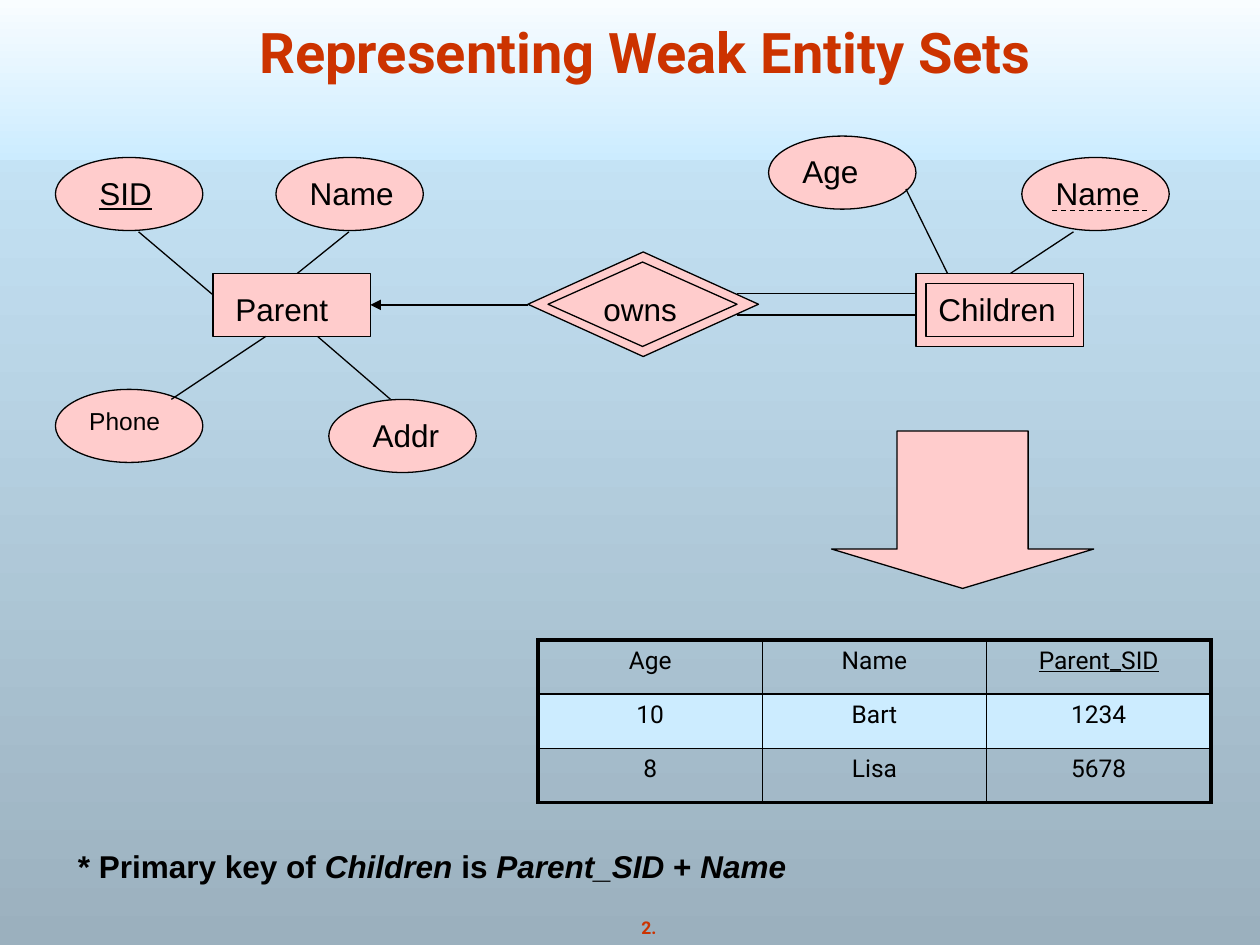
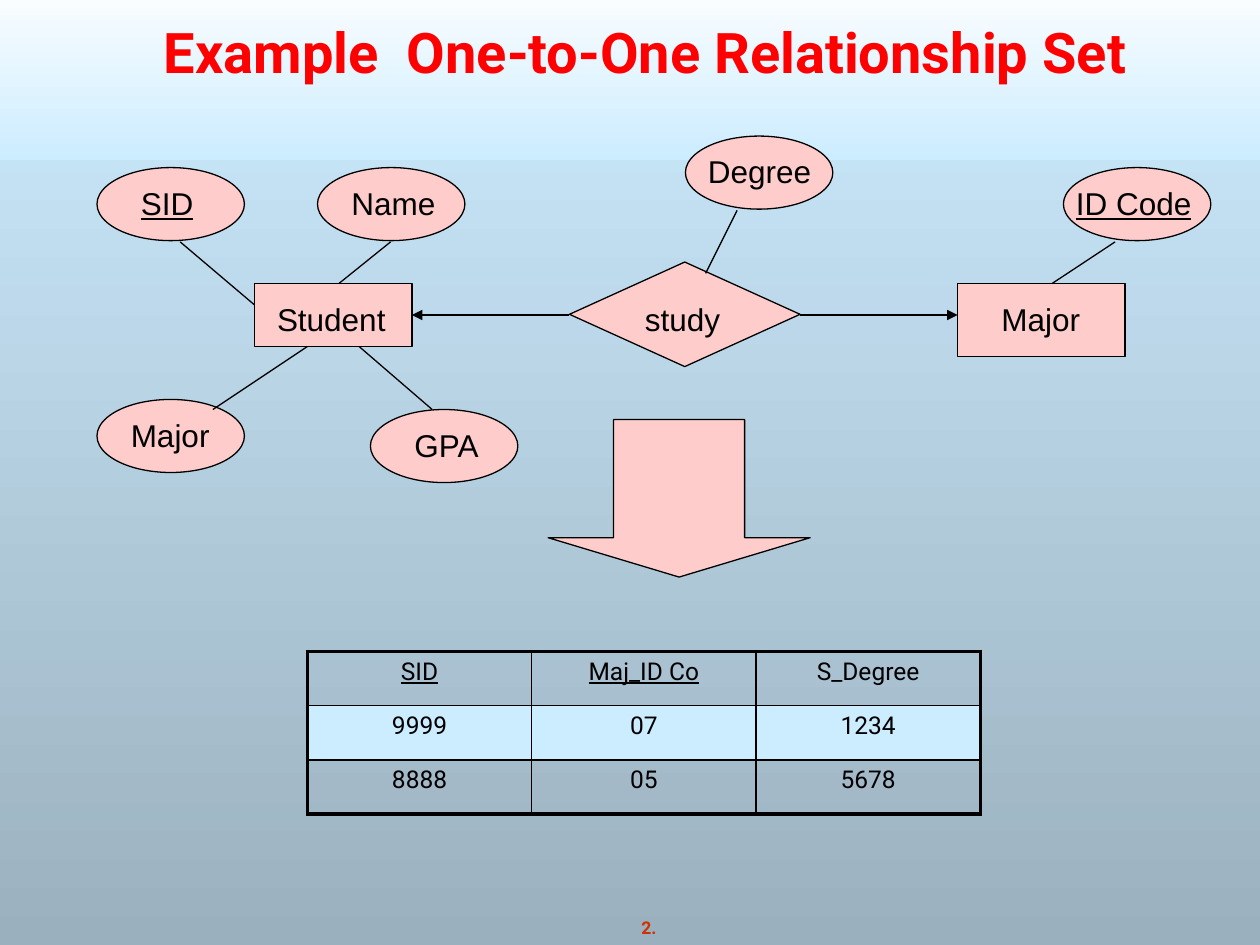
from dataclasses import dataclass

from lxml import etree
from pptx import Presentation
from pptx.dml.color import RGBColor
from pptx.enum.dml import MSO_LINE
from pptx.enum.shapes import MSO_CONNECTOR, MSO_SHAPE
from pptx.enum.text import MSO_ANCHOR, PP_ALIGN
from pptx.oxml.ns import qn
from pptx.util import Inches, Pt

RECTANGLE = MSO_SHAPE.RECTANGLE
ELLIPSE = MSO_SHAPE.OVAL
DIAMOND = MSO_SHAPE.FLOWCHART_DECISION
DOWN_ARROW = MSO_SHAPE.DOWN_ARROW
STRAIGHT = MSO_CONNECTOR.STRAIGHT
DASH = MSO_LINE.DASH
CENTER = PP_ALIGN.CENTER
LEFT = PP_ALIGN.LEFT
TOP = MSO_ANCHOR.TOP
BOTTOM = MSO_ANCHOR.BOTTOM

BLACK = "000000"
PINK = "FFCCCC"
SKY = "CCECFF"
WHITE = "FFFFFF"
STEEL = "9BB0BE"
RUST = "CC3300"
RED = "FF0000"
HEADING_FONT = "Roboto"
BODY_FONT = "Arial"
COLUMN_WIDTH = 1.78
ROW_HEIGHT = 0.43
ATTRIBUTE_SIZE = (1.17, 0.58)


@dataclass(frozen=True)
class TextRun:
    text: str
    size: float = 18
    font: str = BODY_FONT
    color: str = BLACK
    bold: bool = False
    italic: bool = False
    underline: bool = False


@dataclass(frozen=True)
class Node:
    kind: MSO_SHAPE
    left: float
    top: float
    width: float
    height: float


@dataclass(frozen=True)
class Label:
    text: str
    inset: float
    width: float
    drop: float = 0.08
    size: float = 18
    underline: bool = False


@dataclass(frozen=True)
class Link:
    start: tuple[float, float]
    end: tuple[float, float]
    arrow: bool = False
    dashed: bool = False


@dataclass(frozen=True)
class Diagram:
    title: str
    title_color: str
    origin: tuple[float, float]
    labels: list[Label]
    extra_attribute: tuple[float, float]
    inner_nodes: list[Node]
    extra_links: list[Link]
    down_arrow: tuple[float, float]
    table_corner: tuple[float, float]
    rows: list[list[str]]
    keys: set[str]


ENTITY_NODES = [
    Node(RECTANGLE, 0, 0, 1.25, 0.5),
    Node(ELLIPSE, -1.25, -0.92, *ATTRIBUTE_SIZE),
    Node(ELLIPSE, 0.5, -0.92, *ATTRIBUTE_SIZE),
    Node(ELLIPSE, -1.25, 0.92, *ATTRIBUTE_SIZE),
    Node(ELLIPSE, 0.92, 1, *ATTRIBUTE_SIZE),
    Node(DIAMOND, 2.5, -0.17, 1.83, 0.83),
    Node(RECTANGLE, 5.58, 0, 1.33, 0.58),
    Node(ELLIPSE, 6.42, -0.92, *ATTRIBUTE_SIZE),
]

ENTITY_LINKS = [
    Link((-0.59, -0.33), (0, 0.17)),
    Link((1.08, -0.33), (0.67, 0)),
    Link((1.41, 1), (0.83, 0.5)),
    Link((-0.33, 1), (0.42, 0.5)),
    Link((6.83, -0.33), (6.33, 0)),
    Link((2.5, 0.25), (1.25, 0.25), arrow=True),
]

WEAK_ENTITY = Diagram(
    title="Representing Weak Entity Sets",
    title_color=RUST,
    origin=(1.69, 2.17),
    labels=[
        Label("Parent", 0.08, 1.08),
        Label("SID", 0.25, 0.83, underline=True),
        Label("Name", 0.17, 0.92),
        Label("Phone", 0.17, 0.83, size=14),
        Label("Addr", 0.25, 0.75),
        Label("owns", 0.5, 0.83, drop=0.25),
        Label("Children", 0.08, 1.33),
        Label("Name", 0.17, 0.92),
        Label("Age", 0.17, 0.83),
    ],
    extra_attribute=(4.41, -1.09),
    inner_nodes=[
        Node(RECTANGLE, 5.66, 0.08, 1.17, 0.42),
        Node(DIAMOND, 2.66, -0.09, 1.5, 0.67),
    ],
    extra_links=[
        Link((4.16, 0.16), (5.58, 0.16)),
        Link((4.16, 0.33), (5.58, 0.33)),
        Link((6.66, -0.5), (7.41, -0.5), dashed=True),
        Link((5.5, -0.67), (5.83, 0)),
    ],
    down_arrow=(6.6, 3.42),
    table_corner=(4.27, 5.08),
    rows=[["Age", "Name", "Parent_SID"], ["10", "Bart", "1234"], ["8", "Lisa", "5678"]],
    keys={"Parent_SID"},
)

ONE_TO_ONE = Diagram(
    title="Example  One-to-One Relationship Set",
    title_color=RED,
    origin=(2.02, 2.25),
    labels=[
        Label("Student", 0.08, 1.08),
        Label("SID", 0.25, 0.83, underline=True),
        Label("Name", 0.17, 0.92),
        Label("Major", 0.17, 0.83),
        Label("GPA", 0.25, 0.75),
        Label("study", 0.5, 0.83, drop=0.25),
        Label("Major", 0.25, 0.83),
        Label("ID Code", 0, 1.25, underline=True),
        Label("Degree", 0.08, 1.08),
    ],
    extra_attribute=(3.42, -1.17),
    inner_nodes=[],
    extra_links=[
        Link((4.33, 0.25), (5.58, 0.25), arrow=True),
        Link((3.58, -0.08), (3.83, -0.58)),
    ],
    down_arrow=(4.35, 3.33),
    table_corner=(2.44, 5.17),
    rows=[["SID", "Maj_ID Co", "S_Degree"], ["9999", "07", "1234"], ["8888", "05", "5678"]],
    keys={"SID", "Maj_ID Co"},
)

KEY_NOTE = [
    TextRun("* Primary key of ", bold=True),
    TextRun("Children", bold=True, italic=True),
    TextRun(" is ", bold=True),
    TextRun("Parent_SID", bold=True, italic=True),
    TextRun(" + ", bold=True),
    TextRun("Name", bold=True, italic=True),
]


def rgb(color: str) -> RGBColor:
    return RGBColor.from_string(color)


def fill_gradient(fill, start: str, end: str) -> None:
    fill.gradient()
    fill.gradient_angle = 270
    for stop, color, position in zip(fill.gradient_stops, (start, end), (0, 1)):
        stop.color.rgb = rgb(color)
        stop.position = position


def write_runs(paragraph, runs: list[TextRun], alignment: PP_ALIGN) -> None:
    paragraph.alignment = alignment
    for item in runs:
        run = paragraph.add_run()
        run.text = item.text
        run.font.name = item.font
        run.font.size = Pt(item.size)
        run.font.color.rgb = rgb(item.color)
        run.font.bold = item.bold
        run.font.italic = item.italic
        run.font.underline = item.underline


def add_text(slide, left: float, top: float, width: float, height: float, runs: list[TextRun],
             alignment: PP_ALIGN = LEFT, anchor: MSO_ANCHOR = TOP, wrap: bool = True) -> None:
    box = slide.shapes.add_textbox(Inches(left), Inches(top), Inches(width), Inches(height))
    box.text_frame.word_wrap = wrap
    box.text_frame.vertical_anchor = anchor
    write_runs(box.text_frame.paragraphs[0], runs, alignment)


def add_node(slide, node: Node, origin: tuple[float, float] = (0, 0)):
    shape = slide.shapes.add_shape(
        node.kind, Inches(origin[0] + node.left), Inches(origin[1] + node.top),
        Inches(node.width), Inches(node.height))
    shape.shadow.inherit = False
    shape.fill.solid()
    shape.fill.fore_color.rgb = rgb(PINK)
    shape.line.color.rgb = rgb(BLACK)
    shape.line.width = Pt(0.75)
    return shape


def add_link(slide, link: Link, origin: tuple[float, float]) -> None:
    x, y = origin
    connector = slide.shapes.add_connector(
        STRAIGHT, Inches(x + link.start[0]), Inches(y + link.start[1]),
        Inches(x + link.end[0]), Inches(y + link.end[1]))
    connector.line.color.rgb = rgb(BLACK)
    connector.line.width = Pt(0.75)
    if link.dashed:
        connector.line.dash_style = DASH
    properties = connector._element.spPr
    if link.arrow:
        etree.SubElement(properties.find(qn("a:ln")), qn("a:tailEnd"), type="triangle")
    etree.SubElement(properties, qn("a:effectLst"))


def add_label(slide, label: Label, node: Node, origin: tuple[float, float]) -> None:
    height = 0.4 if label.size == 18 else 0.33
    add_text(slide, origin[0] + node.left + label.inset, origin[1] + node.top + label.drop,
             label.width, height, [TextRun(label.text, label.size, underline=label.underline)])


def add_border(cell, side: str, outer: bool) -> None:
    width = Pt(2.25 if outer else 1)
    line = etree.SubElement(cell._tc.get_or_add_tcPr(), qn(f"a:ln{side}"), w=str(int(width)))
    solid = etree.SubElement(line, qn("a:solidFill"))
    etree.SubElement(solid, qn("a:srgbClr"), val=BLACK)


def add_relation_table(slide, diagram: Diagram) -> None:
    row_count, column_count = len(diagram.rows), len(diagram.rows[0])
    left, top = diagram.table_corner
    table = slide.shapes.add_table(
        row_count, column_count, Inches(left), Inches(top),
        Inches(COLUMN_WIDTH * column_count), Inches(ROW_HEIGHT * row_count)).table
    table.first_row = False
    table.horz_banding = False
    for row_index, row in enumerate(diagram.rows):
        for column_index, text in enumerate(row):
            cell = table.cell(row_index, column_index)
            add_border(cell, "L", column_index == 0)
            add_border(cell, "R", column_index == column_count - 1)
            add_border(cell, "T", row_index == 0)
            add_border(cell, "B", row_index == row_count - 1)
            if row_index == 1:
                cell.fill.solid()
                cell.fill.fore_color.rgb = rgb(SKY)
            else:
                cell.fill.background()
            run = TextRun(text, 14, HEADING_FONT, underline=text in diagram.keys)
            write_runs(cell.text_frame.paragraphs[0], [run], CENTER)


def add_frame(slide, diagram: Diagram) -> None:
    band = slide.shapes.add_shape(RECTANGLE, Inches(0), Inches(-0.17), Inches(10), Inches(1.44))
    band.shadow.inherit = False
    fill_gradient(band.fill, WHITE, SKY)
    band.line.fill.background()
    add_text(slide, 4.99, 7.23, 0.32, 0.27,
             [TextRun("2.", 10, HEADING_FONT, RUST, bold=True)], CENTER, wrap=False)
    add_text(slide, 0.71, 0.05, 8.83, 0.67,
             [TextRun(diagram.title, 32, HEADING_FONT, diagram.title_color, bold=True)],
             CENTER, BOTTOM)


def add_diagram_slide(presentation, diagram: Diagram):
    slide = presentation.slides.add_slide(presentation.slide_layouts[6])
    add_frame(slide, diagram)
    add_relation_table(slide, diagram)
    nodes = ENTITY_NODES + [Node(ELLIPSE, *diagram.extra_attribute, *ATTRIBUTE_SIZE)]
    for node in nodes + diagram.inner_nodes:
        add_node(slide, node, diagram.origin)
    for link in ENTITY_LINKS + diagram.extra_links:
        add_link(slide, link, diagram.origin)
    for label, node in zip(diagram.labels, nodes):
        add_label(slide, label, node, diagram.origin)
    arrow = add_node(slide, Node(DOWN_ARROW, *diagram.down_arrow, 2.08, 1.25))
    arrow.adjustments[0] = 0.5
    arrow.adjustments[1] = 0.25
    return slide


def main() -> None:
    presentation = Presentation()
    presentation.slide_width = Inches(10)
    presentation.slide_height = Inches(7.5)
    fill_gradient(presentation.slide_master.background.fill, SKY, STEEL)
    weak_entity_slide = add_diagram_slide(presentation, WEAK_ENTITY)
    add_text(weak_entity_slide, 0.52, 6.67, 9.08, 0.4, KEY_NOTE)
    add_diagram_slide(presentation, ONE_TO_ONE)
    presentation.save("out.pptx")


if __name__ == "__main__":
    main()
